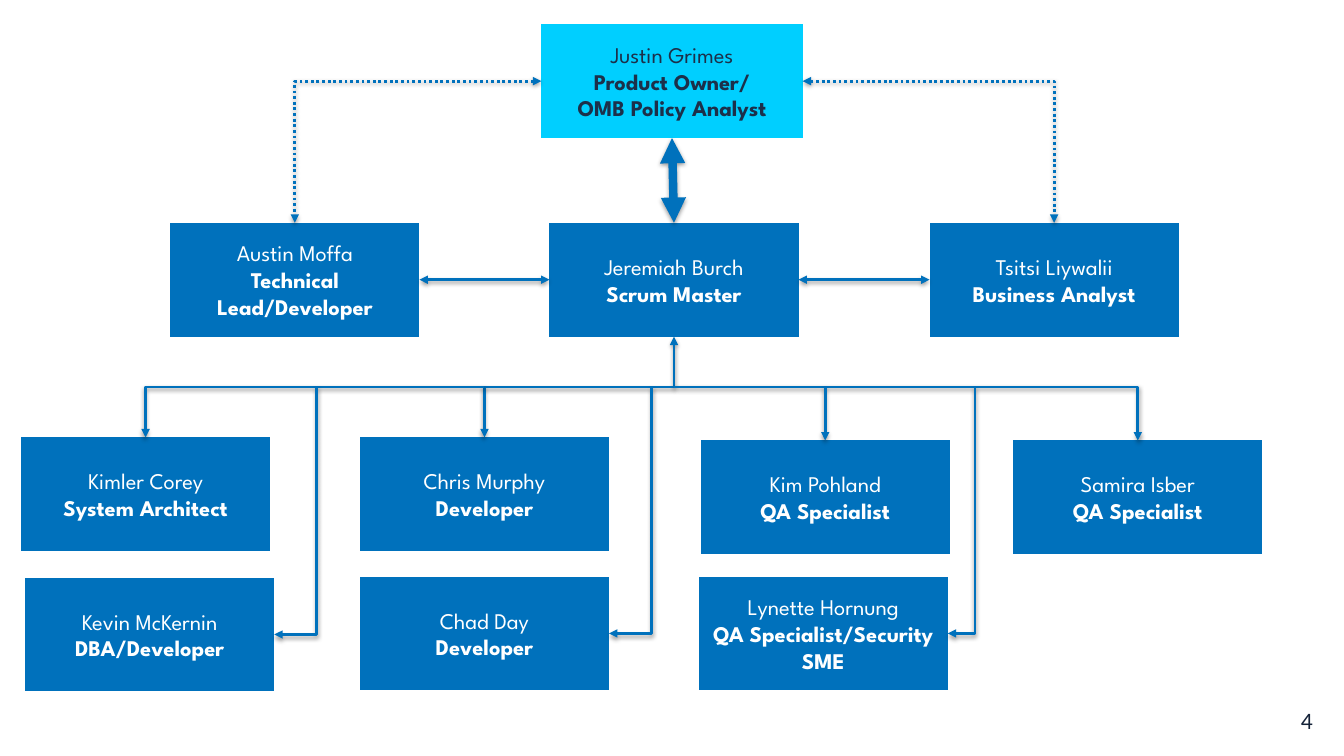
from lxml.etree import SubElement
from pptx import Presentation
from pptx.dml.color import RGBColor
from pptx.enum.dml import MSO_LINE
from pptx.enum.shapes import MSO_CONNECTOR, MSO_SHAPE
from pptx.enum.text import MSO_ANCHOR, PP_ALIGN
from pptx.oxml.ns import qn
from pptx.util import Inches, Pt

BLUE, CYAN, NAVY, WHITE, INK = "0071BC", "00CFFF", "1C304A", "FFFFFF", "152339"
WIDE, HIGH = 2.47, 1.13
BUS = 3.84
TEAM = {
    "owner": (5.37, 0.24, "Justin Grimes", "Product Owner/", "OMB Policy Analyst"),
    "scrum": (5.45, 2.21, "Jeremiah Burch", "Scrum Master"),
    "lead": (1.69, 2.21, "Austin Moffa", "Technical Lead/Developer"),
    "analyst": (9.22, 2.21, "Tsitsi Liywalii", "Business Analyst"),
    "chad": (3.57, 5.72, "Chad Day", "Developer"),
    "chris": (3.57, 4.34, "Chris Murphy", "Developer"),
    "kevin": (0.25, 5.73, "Kevin McKernin", "DBA/Developer"),
    "kim": (6.95, 4.37, "Kim Pohland", "QA Specialist"),
    "samira": (10.05, 4.37, "Samira Isber", "QA Specialist"),
    "kimler": (0.21, 4.34, "Kimler Corey", "System Architect"),
    "lynette": (6.93, 5.72, "Lynette Hornung", "QA Specialist/Security SME"),
}
SIDES = [("kevin", 3.14), ("chad", 6.46), ("lynette", 9.67)]
FRAME = {"word_wrap": True, "vertical_anchor": MSO_ANCHOR.MIDDLE,
         "margin_left": Inches(0.13), "margin_right": Inches(0.13),
         "margin_top": Inches(0.13), "margin_bottom": Inches(0.13)}
SHADE = {"blurRad": "40000", "dist": "20000", "dir": "5400000", "rotWithShape": "0"}


def color(code):
    return RGBColor.from_string(code)


def apply(thing, values):
    for name, value in values.items():
        setattr(thing, name, value)


def write(frame, lines, look, align):
    apply(frame, FRAME)
    for i, (text, bold) in enumerate(lines):
        para = frame.paragraphs[0] if i == 0 else frame.add_paragraph()
        para.alignment = align
        run = para.add_run()
        run.text = text
        name, size, code = look
        apply(run.font, {"name": name, "size": Pt(size), "bold": bold})
        run.font.color.rgb = color(code)


def wide(key):
    return 2.59 if key == "owner" else WIDE


def port(key, side):
    x, y = TEAM[key][:2]
    w = wide(key)
    return {"top": (x + w / 2, y), "base": (x + w / 2, y + HIGH),
            "left": (x, y + HIGH / 2), "right": (x + w, y + HIGH / 2)}[side]


def box(slide, key):
    x, y, *lines = TEAM[key]
    fill, ink = (CYAN, NAVY) if key == "owner" else (BLUE, WHITE)
    shape = slide.shapes.add_shape(MSO_SHAPE.FLOWCHART_PROCESS, Inches(x), Inches(y),
                                   Inches(wide(key)), Inches(HIGH))
    shape.shadow.inherit = False
    shape.fill.solid()
    shape.fill.fore_color.rgb = color(fill)
    shape.line.fill.background()
    write(shape.text_frame, [(text, i > 0) for i, text in enumerate(lines)],
          ("League Spartan", 16, ink), PP_ALIGN.CENTER)


def link(slide, start, end, tips, kind=MSO_CONNECTOR.STRAIGHT, width=2, dash=None):
    line = slide.shapes.add_connector(kind, *(Inches(v) for v in (*start, *end)))
    line.line.color.rgb = color(BLUE)
    apply(line.line, {"width": Pt(width), "dash_style": dash})
    props = line._element.spPr
    for tip in tips:
        SubElement(props.find(qn("a:ln")), qn("a:" + tip), type="triangle")
    shadow = SubElement(SubElement(props, qn("a:effectLst")), qn("a:outerShdw"), SHADE)
    black = SubElement(shadow, qn("a:srgbClr"), val="000000")
    SubElement(black, qn("a:alpha"), val="38000")
    return props


def corner(slide, start, end, tips, dash=None):
    props = link(slide, start, end, tips, MSO_CONNECTOR.ELBOW, dash=dash)
    props.find(qn("a:prstGeom")).set("prst", "bentConnector2")


def step(slide, start, end, tips):
    (x1, y1), (x2, y2) = start, end
    midx, midy = (x1 + x2) / 2, (y1 + y2) / 2
    dx, dy = (y2 - y1) / 2, (x1 - x2) / 2
    props = link(slide, (midx - dx, midy - dy), (midx + dx, midy + dy), tips,
                 MSO_CONNECTOR.ELBOW)
    props.find(qn("a:xfrm")).set("rot", "5400000")


def main():
    deck = Presentation()
    apply(deck, {"slide_width": Inches(13.33), "slide_height": Inches(7.5)})
    slide = deck.slides.add_slide(deck.slide_layouts[6])
    for key in TEAM:
        box(slide, key)

    both = ("headEnd", "tailEnd")
    link(slide, port("owner", "base"), port("scrum", "top"), both, width=6)
    for key, side in (("lead", "left"), ("analyst", "right")):
        corner(slide, port("owner", side), port(key, "top"), both, MSO_LINE.ROUND_DOT)
    link(slide, port("lead", "right"), port("scrum", "left"), both)
    link(slide, port("scrum", "right"), port("analyst", "left"), both)

    step(slide, port("scrum", "base"), port("chris", "top"), both)
    for key, base in (("kimler", "chris"), ("samira", "scrum")):
        corner(slide, (port(base, "top")[0], BUS), port(key, "top"), ("tailEnd",))
    top = port("kim", "top")
    link(slide, (top[0], BUS), top, ("tailEnd",))
    for key, x in SIDES:
        corner(slide, port(key, "right"), (x, BUS), ("headEnd",))

    page = slide.shapes.add_textbox(Inches(12.35), Inches(6.95), Inches(0.8), Inches(0.38))
    write(page.text_frame, [("4", False)], ("Calibri", 16.8, INK), PP_ALIGN.RIGHT)
    deck.save("out.pptx")


if __name__ == "__main__":
    main()
